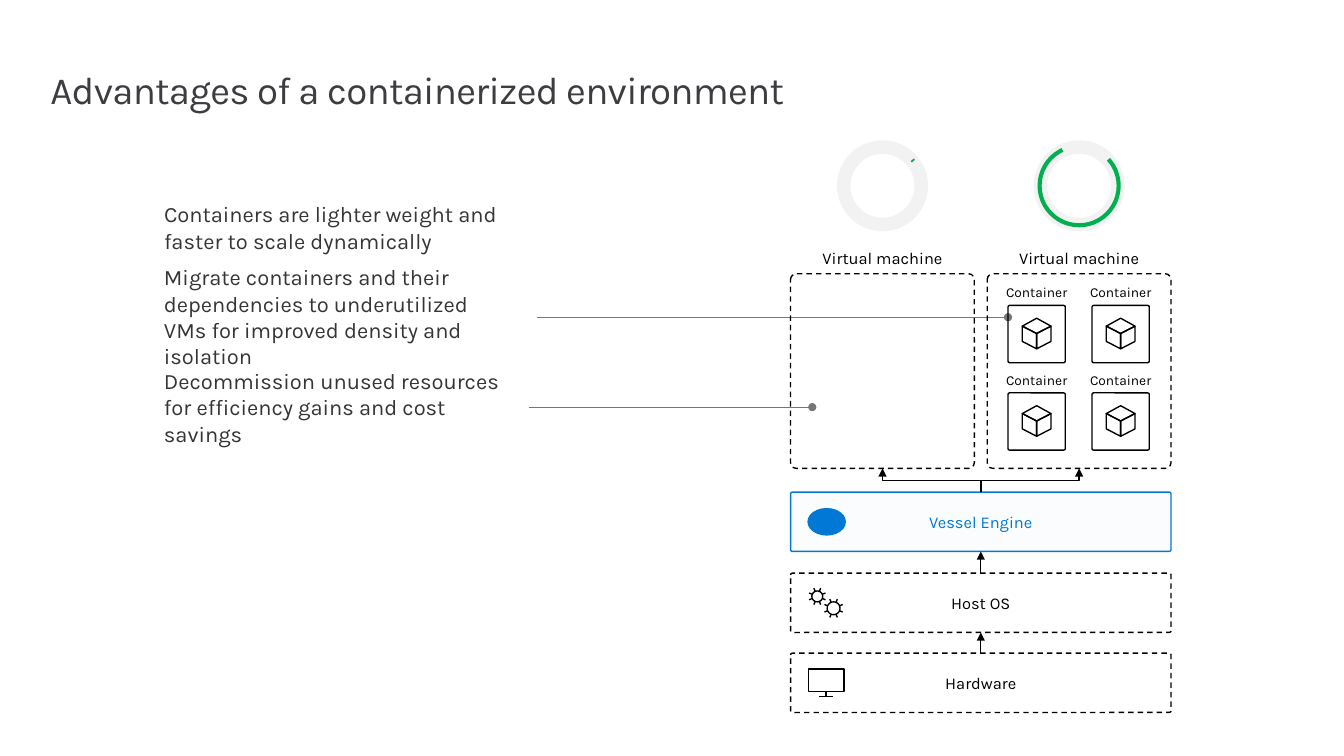
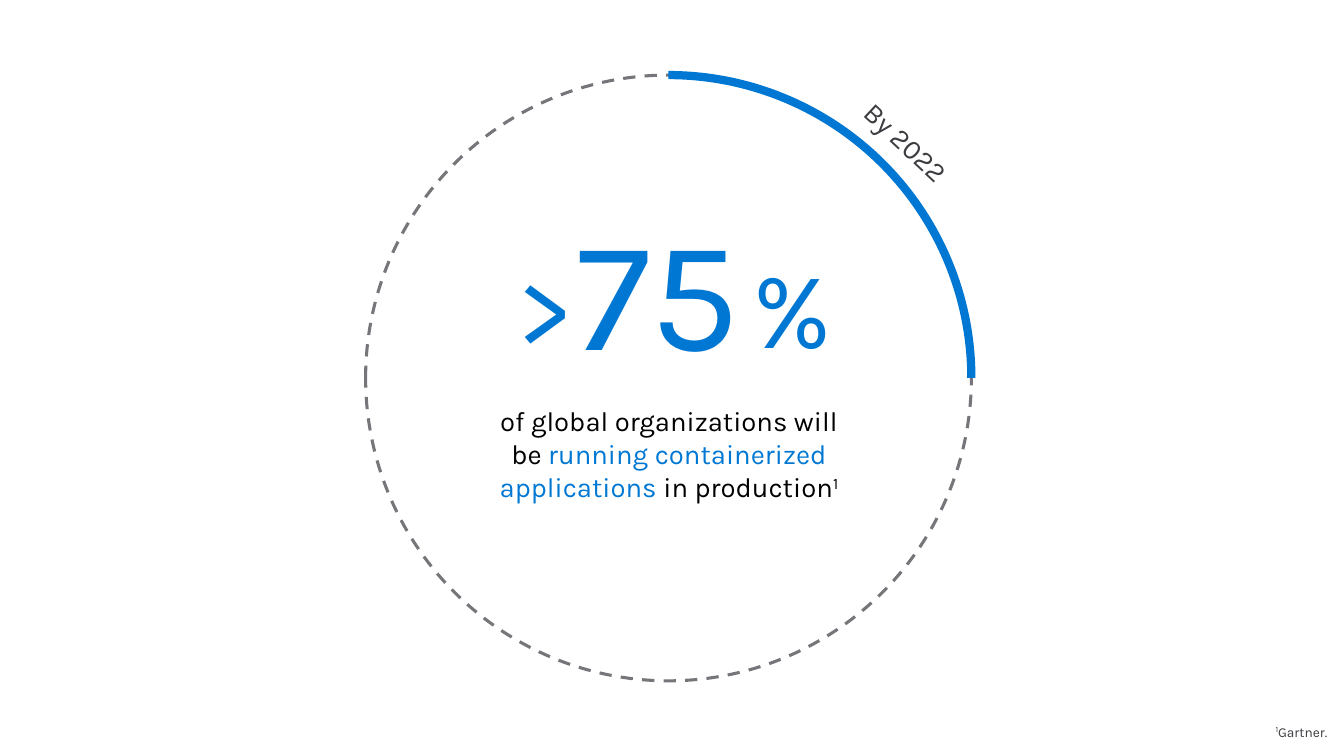
import copy
import math

import pptx
import pptx.dml.color
import pptx.enum.dml
import pptx.enum.shapes
import pptx.enum.text
import pptx.oxml.ns
import pptx.util
from lxml import etree

PX = 9144  # EMU per px, 100 px to the inch
FONT = "Karla"
COLORS = {"ink": "000000", "title": "3C3C41", "body": "353535", "grey": "75757A",
          "track": "F2F2F2", "white": "FFFFFF", "blue": "0078D4",
          "accent": "0078D3", "green": "00B050"}

SHAPES = pptx.enum.shapes.MSO_SHAPE
LINKS = pptx.enum.shapes.MSO_CONNECTOR
ALIGN = pptx.enum.text.PP_ALIGN
ANCHOR = pptx.enum.text.MSO_ANCHOR
GROW = pptx.enum.text.MSO_AUTO_SIZE.SHAPE_TO_FIT_TEXT
DASH = pptx.enum.dml.MSO_LINE.DASH
TITLE_ONLY, BLANK = 5, 6
TOP, BOTTOM = 0, 2
CORNER = 0.031


def px(value):
    return round(value * PX)


def rgb(name):
    return pptx.dml.color.RGBColor.from_string(COLORS[name])


def tag(name):
    return pptx.oxml.ns.qn(name)


# Shared text and shape helpers

def write(frame, spans, size, color, insets=(0, 0), para_format=None, **frame_format):
    """Fill a frame with one paragraph of (text, colour, baseline) spans."""
    across, down = px(insets[0]), px(insets[1])
    settings = {"word_wrap": True, "margin_left": across, "margin_right": across,
                "margin_top": down, "margin_bottom": down, **frame_format}
    for name, value in settings.items():
        setattr(frame, name, value)
    para = frame.paragraphs[0]
    for name, value in (para_format or {}).items():
        setattr(para, name, value)
    if isinstance(spans, str):
        spans = [(spans, color, 0)]
    for words, span_color, baseline in spans:
        for index, line in enumerate(words.split("\n")):
            if index:
                para.add_line_break()
            span = para.add_run()
            span.text = line
            for name, value in {"name": FONT, "size": pptx.util.Pt(size),
                                "bold": False}.items():
                setattr(span.font, name, value)
            span.font.color.rgb = rgb(span_color)
            if baseline:
                span.font._element.set("baseline", str(baseline * 1000))
    for line_break in para._p.findall(tag("a:br")):
        line_break.append(copy.deepcopy(para.runs[0].font._element))


def add_text(page, box, spans, size, color, align=ALIGN.CENTER, **options):
    shape = page.shapes.add_textbox(*map(px, box))
    options = {"auto_size": GROW, **options}
    write(shape.text_frame, spans, size, color, para_format={"alignment": align}, **options)
    return shape


def set_line(shape, color, width, dash=None):
    shape.line.color.rgb = rgb(color)
    shape.line.width = pptx.util.Pt(width)
    if dash:
        shape.line.dash_style = dash


def paint(shape, fill=None, line=None, width=1, dash=None):
    shape.shadow.inherit = False
    if fill:
        shape.fill.solid()
        shape.fill.fore_color.rgb = rgb(fill)
    else:
        shape.fill.background()
    if line:
        set_line(shape, line, width, dash)
    else:
        shape.line.fill.background()
    return shape


def add_shape(page, kind, box, adjust=(), **look):
    shape = page.shapes.add_shape(kind, *map(px, box))
    for index, value in enumerate(adjust):
        shape.adjustments[index] = value
    return paint(shape, **look)


def add_arc(page, box, start, end, color, width):
    # Angles in degrees, as 60000ths on a scale of 100000
    return add_shape(page, SHAPES.ARC, box, (start * 0.6, end * 0.6), line=color, width=width)


def add_outline(page, paths):
    """Draw several (points, closed) paths as one black outline."""
    builder = None
    for points, closed in paths:
        points = [(px(x), px(y)) for x, y in points]
        if builder is None:
            builder = page.shapes.build_freeform(*points[0], scale=1.0)
        else:
            builder.move_to(*points[0])
        builder.add_line_segments(points[1:], close=closed)
    return paint(builder.convert_to_shape(), line="ink")


def add_link(page, kind, start, end, color, width, head):
    link = page.shapes.add_connector(kind, *map(px, start + end))
    set_line(link, color, width)
    etree.SubElement(link.line._get_or_add_ln(), tag("a:tailEnd"), type=head)
    etree.SubElement(link._element.spPr, tag("a:effectLst"))
    return link


def set_title(page, box, words):
    title = page.shapes.title
    for name, value in zip(("left", "top", "width", "height"), box):
        setattr(title, name, px(value))
    write(title.text_frame, words, 28, "title", vertical_anchor=ANCHOR.TOP, auto_size=GROW,
          para_format={"alignment": ALIGN.LEFT, "line_spacing": pptx.util.Pt(32)})
    title.text_frame.paragraphs[0].runs[0].font._element.set("spc", "-50")


# Icons, each placed from its own left and top

def add_cube(page, left, top):
    faces = [[(29, 8), (29, 23.5), (14.5, 31), (14.5, 15.5)],
             [(0, 8), (14.5, 15.5), (14.5, 31), (0, 23.5)],
             [(14.5, 0), (29, 8), (14.5, 15.5), (0, 8)]]
    add_outline(page, [([(left + x, top + y) for x, y in face], True) for face in faces])


def add_monitor(page, left, top):
    parts = [([(0, 0), (36, 0), (36, 23), (0, 23)], True),
             ([(18, 23), (18, 28)], False), ([(11, 28), (25, 28)], False)]
    add_outline(page, [([(left + x, top + y) for x, y in points], closed)
                       for points, closed in parts])


def add_gears(page, left, top):
    paths = []
    for x, y, rim, tip in ((8, 8.5, 5.5, 9), (24.5, 20.5, 6.5, 10)):
        def spot(angle, radius):
            turn = math.radians(angle)
            return left + x + radius * math.cos(turn), top + y + radius * math.sin(turn)
        paths.append(([spot(angle, rim) for angle in range(0, 360, 15)], True))
        paths += [([spot(22.5 + 45 * tooth, rim), spot(22.5 + 45 * tooth, tip)], False)
                  for tooth in range(8)]
    add_outline(page, paths)


def add_engine_mark(page, left, top):
    add_shape(page, SHAPES.OVAL, (left, top, 39, 28), fill="blue")


# Regions of the container diagram

def add_meter(page, left, top, start, end):
    add_shape(page, SHAPES.DONUT, (left, top, 92, 92), (0.148,), fill="track")
    add_arc(page, (left + 6, top + 6, 80, 80), start, end, "green", 3)


def add_container(page, left, top):
    add_text(page, (left, top, 78, 17), "Container", 10, "ink", vertical_anchor=ANCHOR.BOTTOM)
    add_shape(page, SHAPES.ROUNDED_RECTANGLE, (left + 10, top + 22, 58, 58), (CORNER,),
              line="ink")
    add_cube(page, left + 24.5, top + 35)


def add_machine(page, left, top, meter, filled):
    """One virtual machine with its usage meter; returns the dashed frame."""
    width, height = 186, 197
    middle = left + width / 2
    add_meter(page, middle - 46, top - 135, *meter)
    add_text(page, (middle - 62.5, top - 26, 125, 20), "Virtual machine", 12, "ink",
             vertical_anchor=ANCHOR.BOTTOM)
    frame = add_shape(page, SHAPES.ROUNDED_RECTANGLE, (left, top, width, height), (CORNER,),
                      line="ink", dash=DASH)
    if filled:
        for row in range(2):
            for column in range(2):
                add_container(page, left + 11 + 85 * column, top + 10 + 88.5 * row)
    return frame


def add_layer(page, box, words, color, dash):
    layer = add_shape(page, SHAPES.ROUNDED_RECTANGLE, box, (CORNER,), line=color, dash=dash)
    write(layer.text_frame, words, 12, color, (20, 16), {"alignment": ALIGN.CENTER},
          vertical_anchor=ANCHOR.MIDDLE)
    return layer


def join_up(page, lower, upper):
    arrow = add_link(page, LINKS.STRAIGHT, (0, 0), (0, 0), "ink", 1, "triangle")
    arrow.begin_connect(lower, TOP)
    arrow.end_connect(upper, BOTTOM)


def branch_up(page, lower, upper):
    """Elbow that leaves the lower box upwards and enters the upper one."""
    arrow = add_link(page, LINKS.ELBOW, (0, 0), (0, 0), "ink", 1, "triangle")
    arrow.begin_connect(lower, TOP)
    arrow.end_connect(upper, BOTTOM)
    start_x, end_x = (shape.left + shape.width // 2 for shape in (lower, upper))
    end_y = upper.top + upper.height
    rise, run = lower.top - end_y, abs(end_x - start_x)
    place = {"left": (start_x + end_x - rise) // 2, "top": (lower.top + end_y - run) // 2,
             "width": rise, "height": run}
    for name, value in place.items():
        setattr(arrow, name, value)
    turn = {"rot": str(270 * 60000), "flipH": "0", "flipV": "1" if end_x < start_x else "0"}
    for name, value in turn.items():
        arrow._element.spPr.find(tag("a:xfrm")).set(name, value)


def add_diagram(page, left, top):
    machines = [add_machine(page, left, top, (319, 321.5), False),
                add_machine(page, left + 199, top, (318, 245), True)]
    layers = []
    rows = [("Vessel Engine", 221, "blue", None, add_engine_mark, (17, 16)),
            ("Host OS", 303, "ink", DASH, add_gears, (19, 15)),
            ("Hardware", 384, "ink", DASH, add_monitor, (18, 16))]
    for words, drop, color, dash, icon, (icon_x, icon_y) in rows:
        layers.append(add_layer(page, (left, top + drop, 385, 60), words, color, dash))
        icon(page, left + icon_x, top + drop + icon_y)
    engine, host, hardware = layers
    # Faint tint behind the engine
    engine.fill.solid()
    engine.fill.fore_color.rgb = rgb("blue")
    tint = engine._element.spPr.find(tag("a:solidFill"))[0]
    etree.SubElement(tint, tag("a:alpha"), val="2000")
    join_up(page, hardware, host)
    join_up(page, host, engine)
    for machine in machines:
        branch_up(page, engine, machine)


def add_benefits(page, left):
    benefits = [
        (187, 449, 86, "Containers are lighter weight and \nfaster to scale dynamically"),
        (264, 383, 113, "Migrate containers and their dependencies to underutilized VMs "
                        "for improved density and isolation"),
        (369, 390, 86, "Decommission unused resources \nfor efficiency gains and cost savings")]
    for top, width, height, words in benefits:
        add_text(page, (left, top, width, height), words, 16, "body", ALIGN.LEFT,
                 insets=(16, 16), vertical_anchor=ANCHOR.MIDDLE)
    for start, end, y in ((543, 1020, 321), (535, 822, 412)):
        add_link(page, LINKS.STRAIGHT, (start, y), (end, y), "grey", 0.75, "oval")


# Slides

def build_advantages(deck):
    page = deck.slides.add_slide(deck.slide_layouts[TITLE_ONLY])
    set_title(page, (51, 69, 1093, 45), "Advantages of a containerized environment")
    add_benefits(page, 150)
    add_diagram(page, 800, 277)


def add_forecast(page, left, top, size):
    """Ring with a highlighted quarter around the headline figure."""
    figures = [("75", 132, 114, 327, 208, 115), ("%", 346, 161, 171, 148, 80),
               (">", 96, 161, 171, 148, 80)]
    for words, x, y, width, height, points in figures:
        add_text(page, (left + x, top + y, width, height), words, points, "accent",
                 insets=(10, 5))
    claim = [("of global organizations will be ", "ink", 0),
             ("running containerized applications", "accent", 0),
             (" in production", "ink", 0), ("1", "ink", 30)]
    add_text(page, (left + 115, top + 328, 384, 113), claim, 20, "ink", insets=(10, 5))
    label = add_shape(page, SHAPES.RECTANGLE, (left + 469, top + 39, 151, 63), fill="white")
    label.rotation = 43
    write(label.text_frame, "By 2022", 20, "title", (20, 16),
          {"alignment": ALIGN.CENTER, "line_spacing": 0.9},
          vertical_anchor=ANCHOR.TOP, auto_size=GROW)
    ring = (left, top, size, size)
    add_shape(page, SHAPES.OVAL, ring, line="grey", width=2.25, dash=DASH)
    add_arc(page, ring, 270, 0, "accent", 6)


def build_forecast(deck):
    page = deck.slides.add_slide(deck.slide_layouts[BLANK])
    add_forecast(page, 370, 76, 613)
    add_text(page, (781, 732, 562, 17), [("1", "title", 30), ("Gartner.", "title", 0)],
             10, "title", ALIGN.RIGHT)


def main():
    deck = pptx.Presentation()
    deck.slide_width, deck.slide_height = px(1360), px(765)
    build_advantages(deck)
    build_forecast(deck)
    deck.save("out.pptx")


if __name__ == "__main__":
    main()
